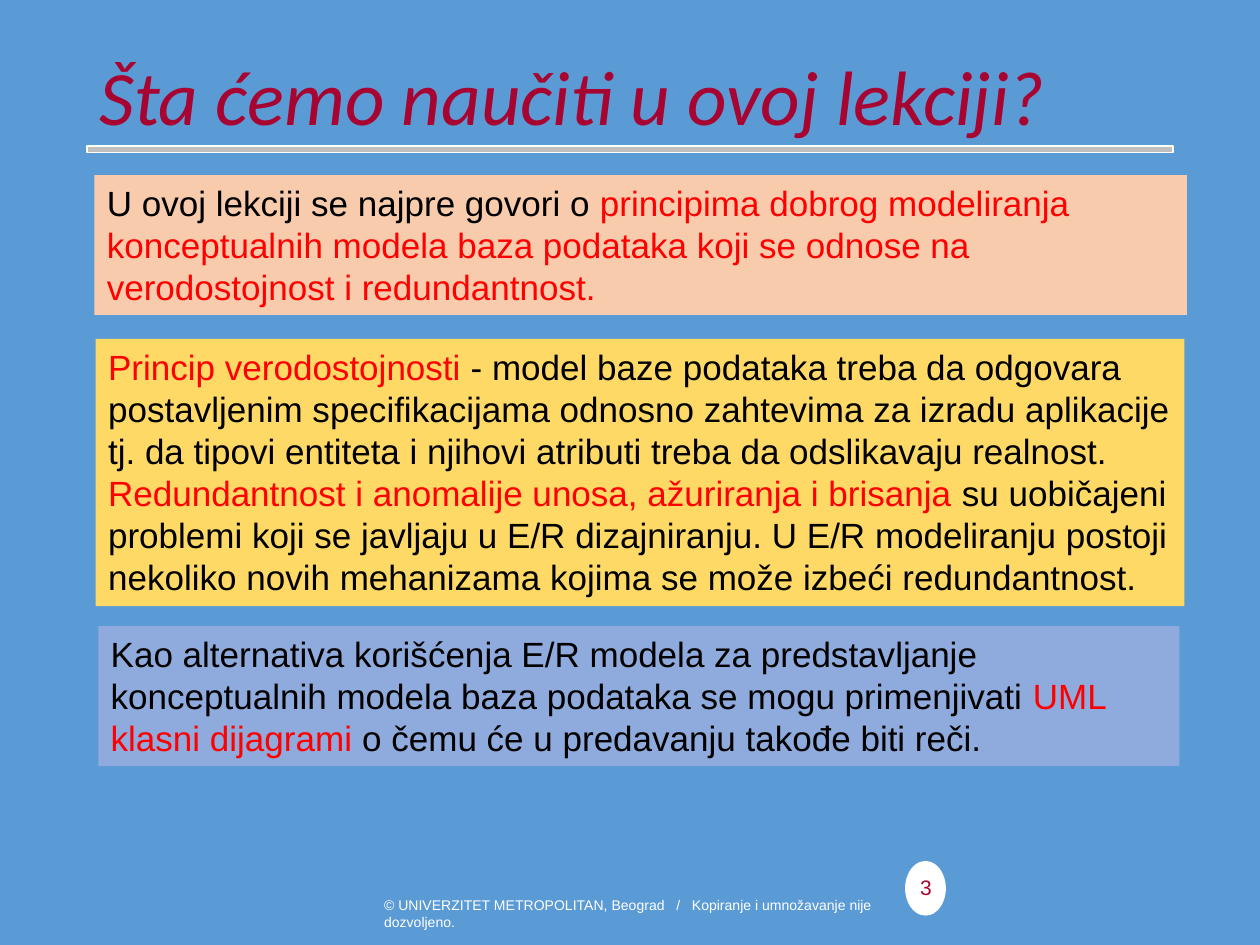
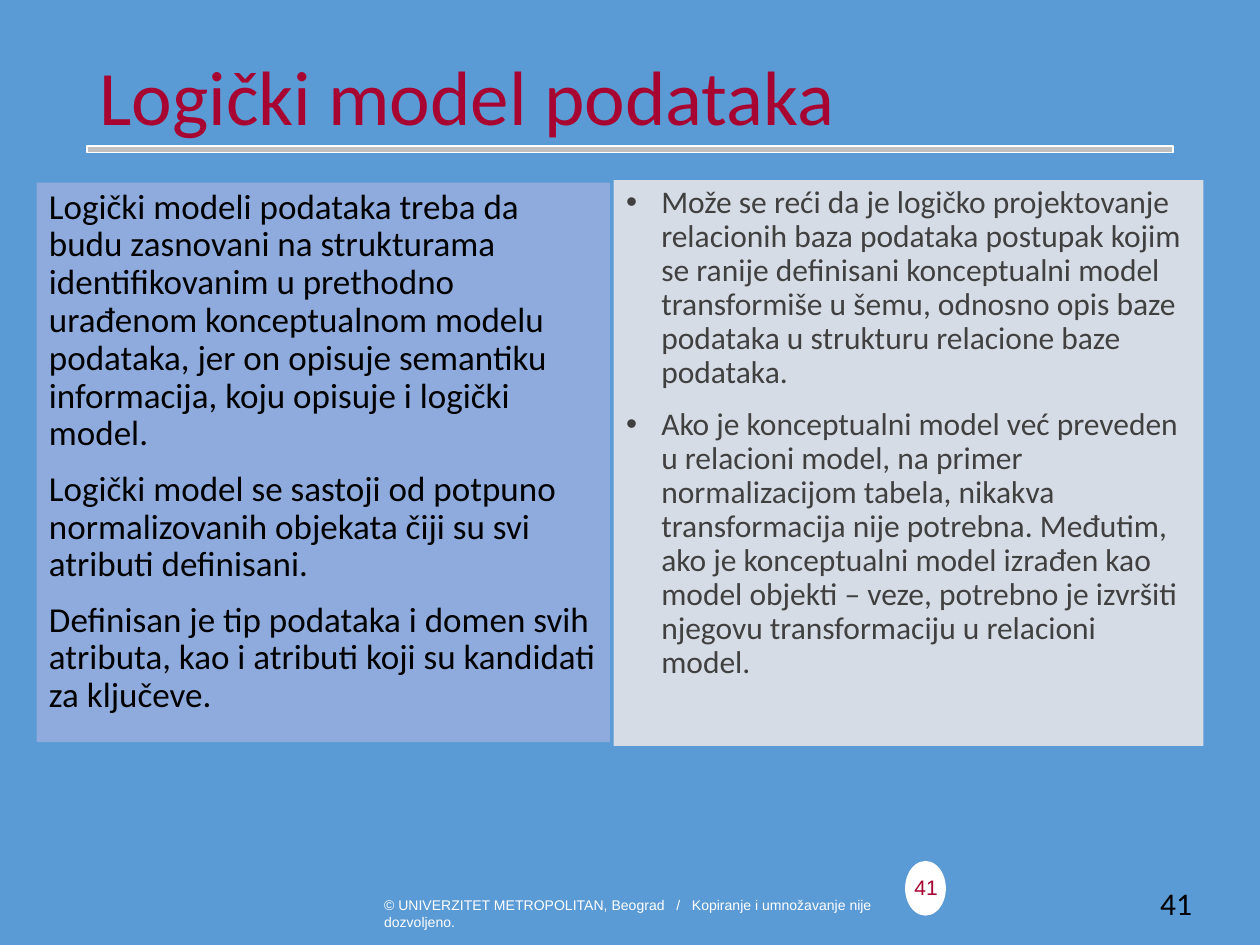
"""Builds two database lecture slides with a shared title band and footer."""
from dataclasses import dataclass

from lxml import etree
from pptx import Presentation
from pptx.dml.color import RGBColor
from pptx.enum.shapes import MSO_SHAPE
from pptx.enum.text import MSO_ANCHOR, PP_ALIGN
from pptx.oxml.ns import qn
from pptx.util import Inches, Pt

RECTANGLE = MSO_SHAPE.RECTANGLE
OVAL = MSO_SHAPE.OVAL
TOP = MSO_ANCHOR.TOP
LEFT = PP_ALIGN.LEFT
CENTER = PP_ALIGN.CENTER


@dataclass(frozen=True)
class Theme:
    """Colours, fonts and type sizes of the deck."""
    background: str = "5B9BD5"
    title: str = "A70431"
    white: str = "FFFFFF"
    rule: str = "BFBFBF"
    text: str = "000000"
    soft_text: str = "404040"
    accent: str = "FF0000"
    peach: str = "F8CBAD"
    yellow: str = "FFD966"
    lavender: str = "8FAADC"
    mist: str = "D6DCE5"
    sans: str = "Arial"
    heading: str = "Calibri"
    title_size: int = 44
    body_size: int = 20
    small_body_size: int = 18
    badge_size: int = 12
    footer_size: int = 8


THEME = Theme()
FOOTER = ("© UNIVERZITET METROPOLITAN, Beograd   /   "
          "Kopiranje i umnožavanje nije dozvoljeno.")


class SlideBuilder:
    """Adds styled elements to the current slide of a deck."""

    def __init__(self, deck, theme):
        """Keep the deck and its theme."""
        self.deck = deck
        self.theme = theme
        self.slide = None

    def start(self, title, number, italic=False):
        """Add a slide with the shared band, badge, footer and title."""
        theme = self.theme
        self.slide = self.deck.slides.add_slide(self.deck.slide_layouts[6])
        fill = self.slide.background.fill
        fill.solid()
        fill.fore_color.rgb = RGBColor.from_string(theme.background)
        self.shape(OVAL, (7.19, 6.84, 0.31, 0.42), theme.white, theme.white)
        self.label((7.1, 6.89, 0.5, 0.3), str(number), theme.badge_size,
                   theme.title, theme.sans, align=CENTER)
        self.shape(RECTANGLE, (0.69, 1.16, 8.62, 0.05), theme.rule, theme.white)
        self.label((2.95, 7.07, 4.18, 0.23), FOOTER, theme.footer_size,
                   theme.white, theme.sans)
        self.label((0.69, 0.42, 8.62, 0.92), title, theme.title_size,
                   theme.title, theme.heading, spacing=0.9, italic=italic)

    def shape(self, kind, place, fill, line=None):
        """Add a filled preset shape, outlined if a line colour is given."""
        shape = self.slide.shapes.add_shape(kind, *map(Inches, place))
        shape.shadow.inherit = False
        shape.fill.solid()
        shape.fill.fore_color.rgb = RGBColor.from_string(fill)
        if line:
            shape.line.color.rgb = RGBColor.from_string(line)
            shape.line.width = Pt(1)
        else:
            shape.line.fill.background()
        return shape

    def label(self, place, text, size, color, font, **style):
        """Add a plain text box."""
        box = self.slide.shapes.add_textbox(*map(Inches, place))
        self.fill_text(box, [text], size, color, font, **style)

    def panel(self, place, fill, texts, size, color, font, **style):
        """Add a filled rectangle that holds paragraphs."""
        box = self.shape(RECTANGLE, place, fill)
        self.fill_text(box, texts, size, color, font, **style)

    def fill_text(self, box, texts, size, color, font, align=LEFT,
                  spacing=None, gap=0, bullet=False, italic=False):
        """Fill a box with paragraphs; parts between asterisks are accented."""
        frame = box.text_frame
        frame.word_wrap = True
        frame.vertical_anchor = TOP
        for index, text in enumerate(texts):
            para = frame.add_paragraph() if index else frame.paragraphs[0]
            if bullet:
                self.bullet(para)
            para.alignment = align
            if spacing:
                para.line_spacing = spacing
            if index and gap:
                para.space_before = Pt(gap)
            para.font.size = Pt(size)
            para.font.name = font
            para.font.italic = italic
            para.font.color.rgb = RGBColor.from_string(color)
            for part, words in enumerate(text.split("*")):
                if words:
                    span = para.add_run()
                    span.text = words
                    if part % 2:
                        span.font.color.rgb = RGBColor.from_string(self.theme.accent)

    def bullet(self, para):
        """Give a paragraph a hanging round bullet."""
        properties = para._p.get_or_add_pPr()
        properties.set("marL", str(Inches(0.28)))
        properties.set("indent", str(Inches(-0.28)))
        etree.SubElement(properties, qn("a:buFont"), typeface=self.theme.sans)
        etree.SubElement(properties, qn("a:buChar"), char="•")


def add_lesson_goals(builder):
    """Build the slide on what the lesson teaches."""
    theme = builder.theme
    builder.start("Šta ćemo naučiti u ovoj lekciji?", 3, italic=True)
    panels = [
        ((0.75, 1.39, 8.67, 1.11), theme.peach, [
            "U ovoj lekciji se najpre govori o *principima dobrog modeliranja "
            "konceptualnih modela baza podataka koji se odnose na "
            "verodostojnost i redundantnost.*"]),
        ((0.76, 2.69, 8.64, 2.12), theme.yellow, [
            "*Princip verodostojnosti *- model baze podataka treba da odgovara "
            "postavljenim specifikacijama odnosno zahtevima za izradu "
            "aplikacije tj. da tipovi entiteta i njihovi atributi treba da "
            "odslikavaju realnost.",
            "*Redundantnost i anomalije unosa, ažuriranja i brisanja *su "
            "uobičajeni problemi koji se javljaju u E/R dizajniranju. U E/R "
            "modeliranju postoji nekoliko novih mehanizama kojima se može "
            "izbeći redundantnost."]),
        ((0.78, 4.97, 8.58, 1.11), theme.lavender, [
            "Kao alternativa korišćenja E/R modela za predstavljanje "
            "konceptualnih modela baza podataka se mogu primenjivati *UML "
            "klasni dijagrami *o čemu će u predavanju takođe biti reči."]),
    ]
    for place, fill, texts in panels:
        builder.panel(place, fill, texts, theme.body_size, theme.text, theme.sans)


def add_logical_model(builder):
    """Build the slide on the logical data model."""
    theme = builder.theme
    builder.start("Logički model podataka", 41)
    builder.panel((0.29, 1.45, 4.55, 4.44), theme.lavender, [
        "Logički modeli podataka treba da budu zasnovani na strukturama "
        "identifikovanim u prethodno urađenom konceptualnom modelu podataka, "
        "jer on opisuje semantiku informacija, koju opisuje i logički model.",
        "Logički model se sastoji od potpuno normalizovanih objekata čiji su "
        "svi atributi definisani.",
        "Definisan je tip podataka i domen svih atributa, kao i atributi koji "
        "su kandidati za ključeve.",
    ], theme.body_size, theme.text, theme.heading, spacing=0.9, gap=10)
    builder.label((9.11, 6.97, 0.89, 0.39), "41", theme.small_body_size,
                  theme.text, theme.heading)
    builder.panel((4.87, 1.43, 4.68, 4.49), theme.mist, [
        "Može se reći da je logičko projektovanje relacionih baza podataka "
        "postupak kojim se ranije definisani konceptualni model transformiše "
        "u šemu, odnosno opis baze podataka u strukturu relacione baze "
        "podataka.",
        "Ako je konceptualni model već preveden u relacioni model, na primer "
        "normalizacijom tabela, nikakva transformacija nije potrebna. "
        "Međutim, ako je konceptualni model izrađen kao model objekti – veze, "
        "potrebno je izvršiti njegovu transformaciju u relacioni model.",
    ], theme.small_body_size, theme.soft_text, theme.heading, spacing=0.9,
        gap=10, bullet=True)


def main():
    """Build and save the deck."""
    deck = Presentation()
    deck.slide_width = Inches(10)
    deck.slide_height = Inches(7.5)
    builder = SlideBuilder(deck, THEME)
    add_lesson_goals(builder)
    add_logical_model(builder)
    deck.save("out.pptx")


if __name__ == "__main__":
    main()
